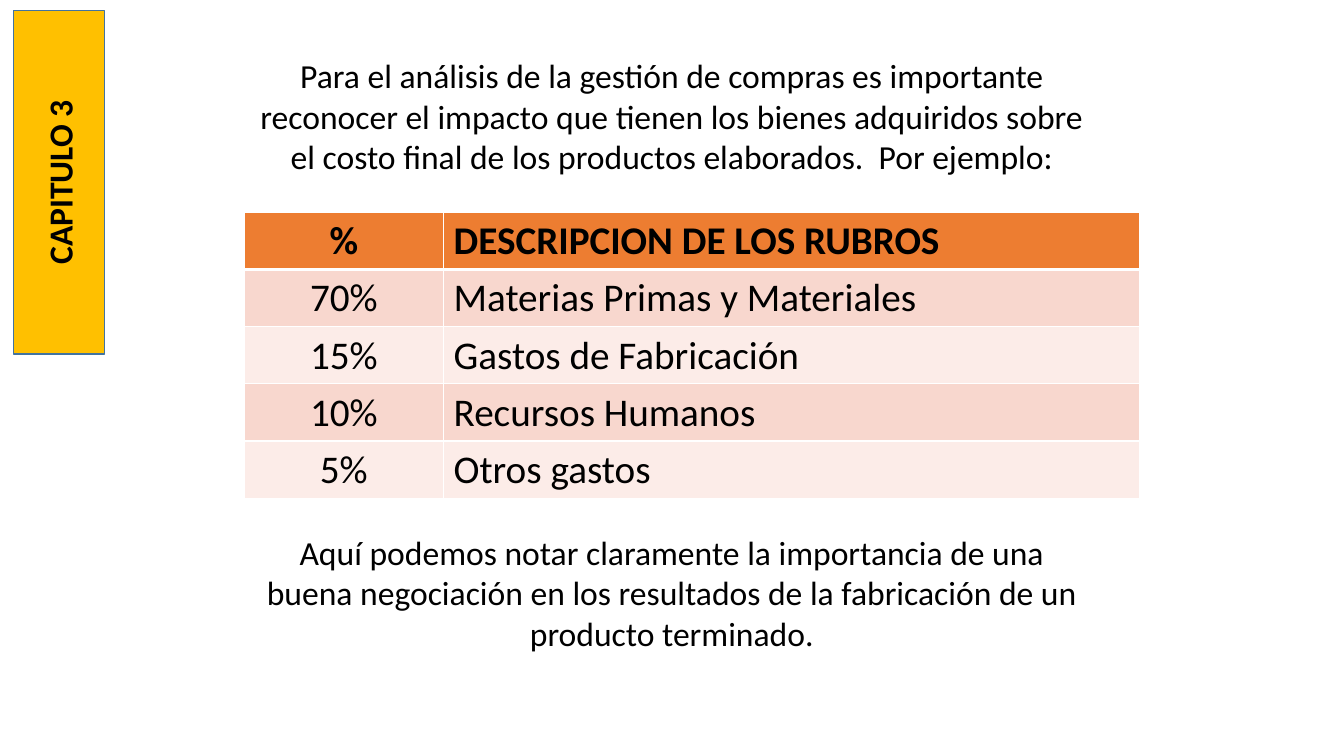
from lxml import etree
from pptx import Presentation
from pptx.dml.color import RGBColor
from pptx.enum.shapes import MSO_SHAPE
from pptx.enum.text import MSO_ANCHOR, PP_ALIGN
from pptx.oxml.ns import qn
from pptx.util import Cm, Pt

CHAPTER = "CAPITULO 3"
INTRO = ("Para el análisis de la gestión de compras es importante reconocer el impacto "
         "que tienen los bienes adquiridos sobre el costo final de los productos "
         "elaborados.  Por ejemplo:")
CONCLUSION = ("Aquí podemos notar claramente la importancia de una buena negociación en "
              "los resultados de la fabricación de un producto terminado.")
COSTS = [
    ("%", "DESCRIPCION DE LOS RUBROS"),
    ("70%", "Materias Primas y Materiales"),
    ("15%", "Gastos de Fabricación"),
    ("10%", "Recursos Humanos"),
    ("5%", "Otros gastos"),
]

FONT = "Calibri"
BLACK = RGBColor(0, 0, 0)
WHITE = RGBColor(0xFF, 0xFF, 0xFF)
GOLD = RGBColor(0xFF, 0xC0, 0x00)
BLUE = RGBColor(0x43, 0x73, 0x9E)
ORANGE = RGBColor(0xED, 0x7D, 0x31)
BANDS = (RGBColor(0xFC, 0xEC, 0xE8), RGBColor(0xF8, 0xD7, 0xCE))
CENTER, LEFT = PP_ALIGN.CENTER, PP_ALIGN.LEFT
MIDDLE = MSO_ANCHOR.MIDDLE
RECTANGLE = MSO_SHAPE.RECTANGLE

LEFT_EDGE = Cm(6.15)
TEXT_W, TEXT_H = Cm(21.56), Cm(3.33)
TABLE_TOP = Cm(5.35)
COL_WIDTHS = (Cm(5.03), Cm(17.55))
ROW_H = Cm(1.44)


def write(tf, text, size, align=CENTER, bold=False):
    p = tf.paragraphs[0]
    p.alignment = align
    r = p.add_run()
    r.text = text
    r.font.name = FONT
    r.font.size = Pt(size)
    r.font.bold = bold
    r.font.color.rgb = BLACK


def add_paragraph_box(s, top, text):
    tf = s.shapes.add_textbox(LEFT_EDGE, top, TEXT_W, TEXT_H).text_frame
    tf.word_wrap = True
    write(tf, text, 24)


def set_borders(cell, widths):
    """Draw white cell borders; widths maps each side (L, R, T, B) to points."""
    tc_pr = cell._tc.get_or_add_tcPr()
    for side, width in widths.items():
        ln = etree.SubElement(tc_pr, qn(f"a:ln{side}"), w=str(Pt(width)))
        fill = etree.SubElement(ln, qn("a:solidFill"))
        etree.SubElement(fill, qn("a:srgbClr"), val=str(WHITE))


def add_chapter_tab(s):
    tab = s.shapes.add_shape(RECTANGLE, Cm(-2.84), Cm(3.45), Cm(8.66), Cm(2.29))
    tab.rotation = 270
    tab.shadow.inherit = False
    tab.fill.solid()
    tab.fill.fore_color.rgb = GOLD
    tab.line.color.rgb = BLUE
    tab.line.width = Pt(1)
    tab.text_frame.vertical_anchor = MIDDLE
    write(tab.text_frame, CHAPTER, 24, bold=True)


def add_cost_table(s):
    table = s.shapes.add_table(len(COSTS), len(COL_WIDTHS), LEFT_EDGE, TABLE_TOP,
                               sum(COL_WIDTHS), ROW_H * len(COSTS)).table
    for column, width in zip(table.columns, COL_WIDTHS):
        column.width = width
    for i, row in enumerate(COSTS):
        header = i == 0
        for j, text in enumerate(row):
            cell = table.cell(i, j)
            write(cell.text_frame, text, 28, LEFT if j else CENTER, header)
            set_borders(cell, {"L": 1, "R": 1, "T": 3 if i == 1 else 1,
                               "B": 3 if header else 1})
            cell.fill.solid()
            cell.fill.fore_color.rgb = ORANGE if header else BANDS[i % 2]


def main():
    prs = Presentation()
    prs.slide_width, prs.slide_height = Cm(33.87), Cm(19.05)
    s = prs.slides.add_slide(prs.slide_layouts[6])
    add_chapter_tab(s)
    add_paragraph_box(s, Cm(1.27), INTRO)
    add_cost_table(s)
    add_paragraph_box(s, Cm(13.28), CONCLUSION)
    prs.save("out.pptx")


if __name__ == "__main__":
    main()
